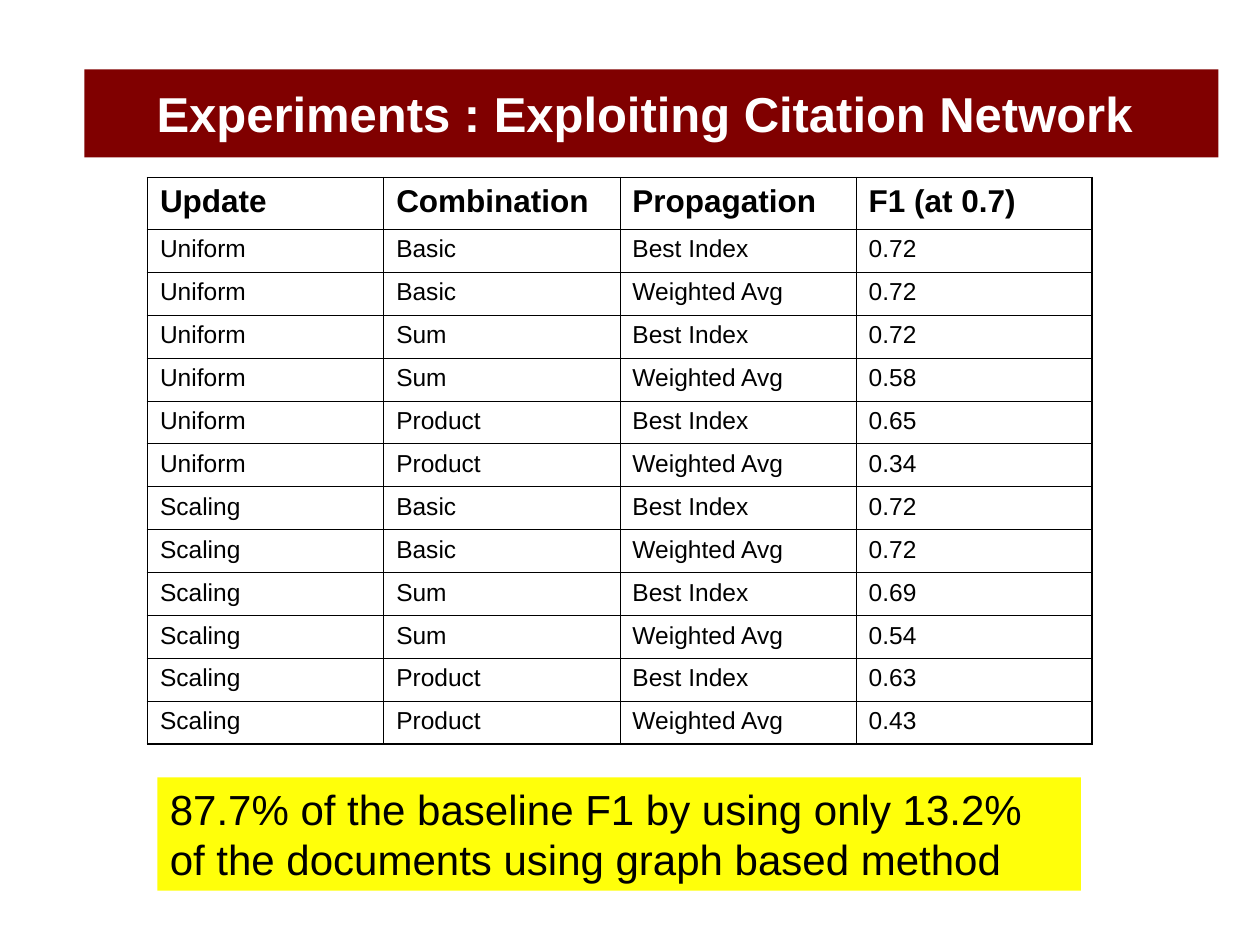
from itertools import product

from lxml.etree import SubElement
from pptx import Presentation
from pptx.dml.color import RGBColor
from pptx.enum.shapes import MSO_SHAPE as Shape
from pptx.enum.text import MSO_ANCHOR as Anchor, PP_ALIGN as Align
from pptx.oxml.ns import qn
from pptx.util import Inches, Pt

# Content
TITLE = "Experiments : Exploiting Citation Network "
HEADER = ("Update", "Combination", "Propagation", "F1 (at 0.7)")
UPDATES = ("Uniform", "Scaling")
COMBINATIONS = ("Basic", "Sum", "Product")
PROPAGATIONS = ("Best Index", "Weighted Avg")
SCORES = ("0.72", "0.72", "0.72", "0.58", "0.65", "0.34",
          "0.72", "0.72", "0.69", "0.54", "0.63", "0.43")
FINDING = ("87.7% of the baseline F1 by using only 13.2% of "
           "the documents using graph based method")

# Look
FONT = "Arial"
BLACK, WHITE, MAROON, YELLOW = "000000", "FFFFFF", "800000", "FFFF0A"
OUTER, INNER = 1.08, 0.45

# Table geometry in inches
TABLE_LEFT, TABLE_TOP, TABLE_WIDTH, TABLE_HEIGHT = 1.17, 1.41, 7.5, 4.5
HEADER_HEIGHT = 0.41


def rgb(value):
    return RGBColor.from_string(value)


def fill(item, color):
    item.fill.solid()
    item.fill.fore_color.rgb = rgb(color)


def write(frame, text, size, color=BLACK, bold=False, align=Align.LEFT):
    frame.text = text
    para = frame.paragraphs[0]
    para.alignment = align
    font = para.runs[0].font
    font.name, font.size, font.bold = FONT, Pt(size), bold
    font.color.rgb = rgb(color)


def set_borders(cell, widths):
    properties = cell._tc.get_or_add_tcPr()
    for side, width in widths.items():
        line = SubElement(properties, qn(f"a:ln{side}"), w=str(Pt(width)))
        solid = SubElement(line, qn("a:solidFill"))
        SubElement(solid, qn("a:srgbClr"), val=BLACK)


def add_title(page):
    title = page.shapes.title
    title.left, title.top = Inches(0.67), Inches(0.55)
    title.width, title.height = Inches(9), Inches(0.7)
    fill(title, MAROON)
    title.text_frame.vertical_anchor = Anchor.MIDDLE
    write(title.text_frame, TITLE, 28, WHITE, True, Align.CENTER)


def add_results(page):
    settings = product(UPDATES, COMBINATIONS, PROPAGATIONS)
    rows = [HEADER] + [(*setting, score) for setting, score in zip(settings, SCORES)]
    last_row, last_column = len(rows) - 1, len(HEADER) - 1
    table = page.shapes.add_table(
        len(rows), len(HEADER), Inches(TABLE_LEFT), Inches(TABLE_TOP),
        Inches(TABLE_WIDTH), Inches(TABLE_HEIGHT)).table
    table.first_row = table.horz_banding = False

    row_height = (TABLE_HEIGHT - HEADER_HEIGHT) / last_row
    for r, values in enumerate(rows):
        table.rows[r].height = Inches(row_height if r else HEADER_HEIGHT)
        for c, value in enumerate(values):
            cell = table.cell(r, c)
            write(cell.text_frame, value, 14 if r else 18, bold=r == 0)
            set_borders(cell, {
                "L": INNER if c else OUTER,
                "R": OUTER if c == last_column else INNER,
                "T": INNER if r else OUTER,
                "B": OUTER if r == last_row else INNER,
            })
            cell.fill.background()


def add_finding(page):
    box = page.shapes.add_shape(Shape.RECTANGLE, Inches(1.25), Inches(6.17),
                                Inches(7.33), Inches(0.9))
    box.shadow.inherit = False
    fill(box, YELLOW)
    box.line.fill.background()
    box.text_frame.word_wrap = True
    box.text_frame.vertical_anchor = Anchor.TOP
    write(box.text_frame, FINDING, 24)


def main():
    deck = Presentation()
    deck.slide_width, deck.slide_height = Inches(10), Inches(7.5)
    page = deck.slides.add_slide(deck.slide_layouts.get_by_name("Title Only"))
    add_title(page)
    add_results(page)
    add_finding(page)
    deck.save("out.pptx")


if __name__ == "__main__":
    main()
